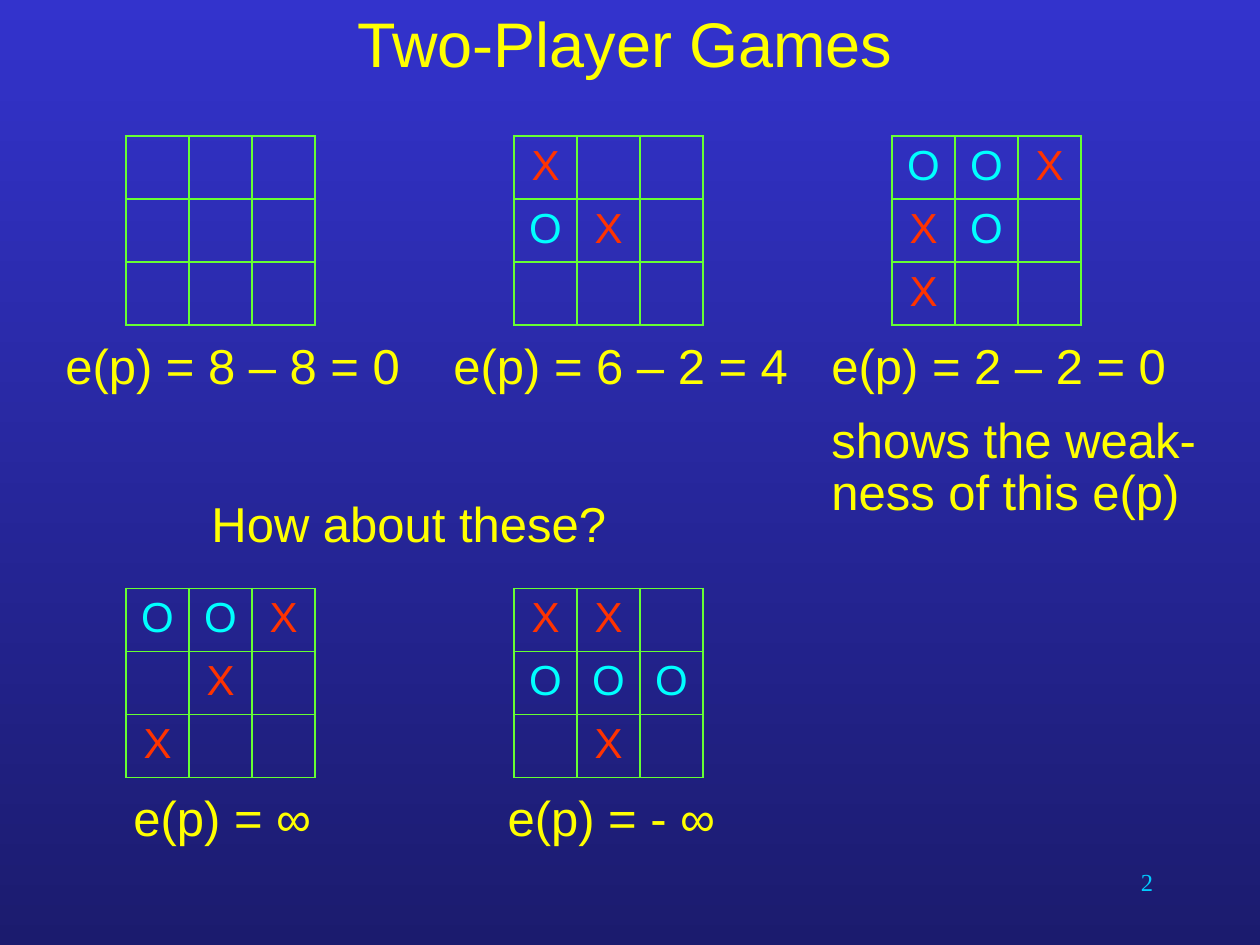
from lxml import etree
from pptx import Presentation
from pptx.dml.color import RGBColor as RGB
from pptx.enum.text import MSO_ANCHOR as Anchor, PP_ALIGN as Align
from pptx.oxml.ns import qn
from pptx.util import Inches, Pt

COLORS = {"top": "3333CC", "base": "1B1B6E", "text": "FFFF00", "grid": "66FF33",
          "X": "FF3300", "O": "00FFFF", "page": "00CCFF"}


def style(para, size, color, align=Align.LEFT, face="Arial"):
    para.alignment = align
    para.font.size = Pt(size)
    para.font.name = face
    para.font.color.rgb = RGB.from_string(COLORS[color])


def add_text(text, left, top, width, height):
    box = slide.shapes.add_textbox(Inches(left), Inches(top), Inches(width), Inches(height))
    box.text_frame.word_wrap = True
    para = box.text_frame.paragraphs[0]
    para.text = text
    return para


prs = Presentation()
prs.slide_width, prs.slide_height = Inches(10), Inches(7.5)
slide = prs.slides.add_slide(prs.slide_layouts[5])

fill = slide.background.fill
fill.gradient()
fill.gradient_angle = 270
for stop, name in zip(fill.gradient_stops, ("top", "base")):
    stop.color.rgb = RGB.from_string(COLORS[name])

title = slide.shapes.title
title.left, title.top = Inches(0.25), Inches(0)
title.width, title.height = Inches(9.42), Inches(0.67)
title.text_frame.text = "Two-Player Games"
title.text_frame.vertical_anchor = Anchor.MIDDLE
style(title.text_frame.paragraphs[0], 36, "text", Align.CENTER)

boards = [
    (1, 1.08, ["   ", "   ", "   "]),
    (4.08, 1.08, ["X  ", "OX ", "   "]),
    (7.08, 1.08, ["OOX", "XO ", "X  "]),
    (1, 4.67, ["OOX", " X ", "X  "]),
    (4.08, 4.67, ["XX ", "OOO", " X "]),
]
for left, top, rows in boards:
    frame = slide.shapes.add_table(3, 3, Inches(left), Inches(top), Inches(1.5), Inches(1.5))
    grid = frame.table
    grid.first_row = grid.horz_banding = False
    for r, row in enumerate(rows):
        for c, mark in enumerate(row):
            cell = grid.cell(r, c)
            props = cell._tc.get_or_add_tcPr()
            for side in ("a:lnL", "a:lnR", "a:lnT", "a:lnB"):
                line = etree.SubElement(props, qn(side), w=str(Pt(1.08)))
                paint = etree.SubElement(line, qn("a:solidFill"))
                etree.SubElement(paint, qn("a:srgbClr"), val=COLORS["grid"])
            cell.fill.background()
            if mark != " ":
                para = cell.text_frame.paragraphs[0]
                para.text = mark
                para.space_before = Pt(6)
                style(para, 24, mark, Align.CENTER)

labels = [
    ("e(p) = 8 – 8 = 0", 0.42, 2.67, 3.08, 0.58, 0),
    ("e(p) = 6 – 2 = 4", 3.5, 2.67, 3.08, 0.58, 0),
    ("e(p) = 2 – 2 = 0", 6.5, 2.67, 3.08, 0.58, 0),
    ("shows the weak-ness of this e(p)", 6.5, 3.25, 3.17, 1, 0),
    ("How about these?", 1.58, 3.92, 3.75, 0.58, 0),
    ("e(p) = ∞", 0.42, 6.25, 3.08, 0.58, 0.54),
    ("e(p) = - ∞", 3.5, 6.25, 3.08, 0.58, 0.43),
]
for text, left, top, width, height, indent in labels:
    para = add_text(text, left, top, width, height)
    para.line_spacing = 0.9
    para.space_before = para.space_after = Pt(7)
    style(para, 28, "text")
    if indent:
        para._p.get_or_add_pPr().set("marL", str(Inches(indent)))

page = add_text("2", 7.17, 6.83, 2.08, 0.5)
style(page, 14, "page", Align.RIGHT, "Times New Roman")

prs.save("out.pptx")
